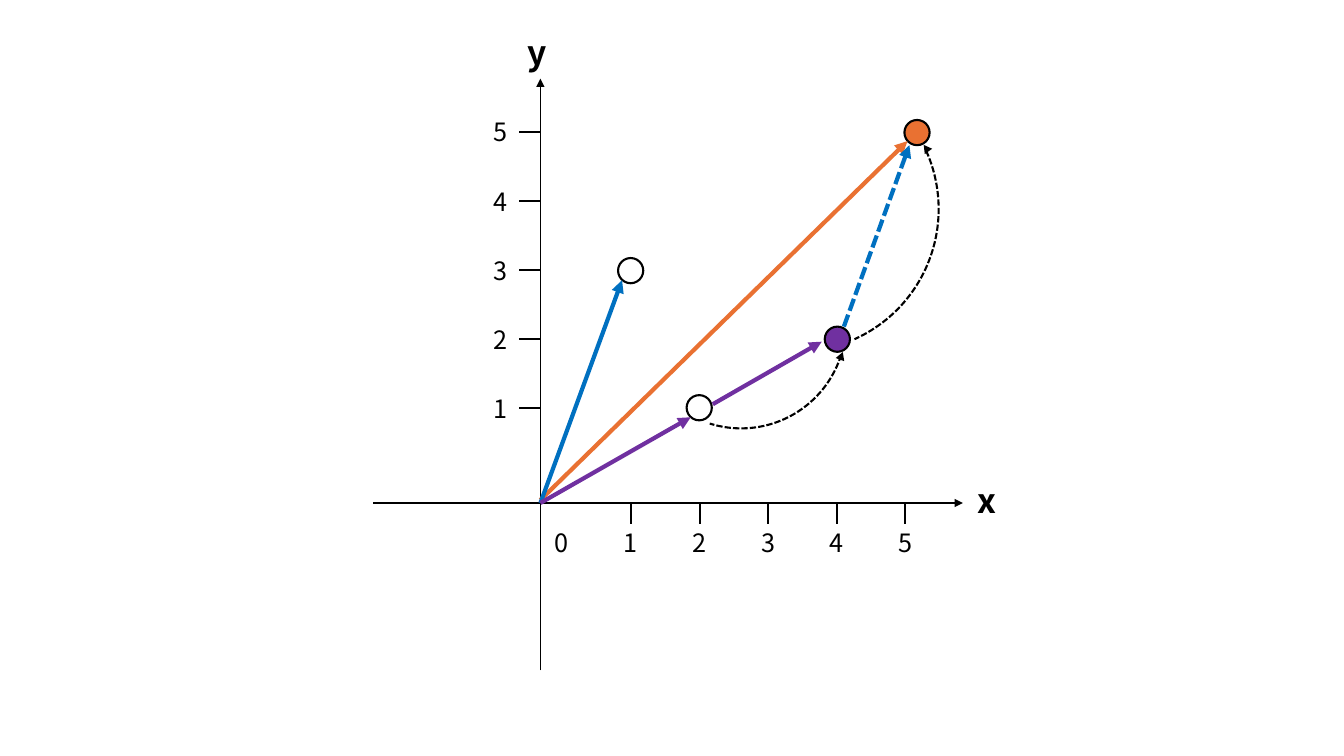
"""Builds a slide showing scaled vectors and their sum on x-y axes."""
from pptx import Presentation
from pptx.dml.color import RGBColor
from pptx.enum.dml import MSO_LINE
from pptx.enum.shapes import MSO_CONNECTOR, MSO_SHAPE
from pptx.enum.text import MSO_AUTO_SIZE
from pptx.oxml.ns import qn
from pptx.util import Inches, Pt
from lxml import etree

STRAIGHT = MSO_CONNECTOR.STRAIGHT
ELLIPSE, ARC, TRIANGLE = MSO_SHAPE.OVAL, MSO_SHAPE.ARC, MSO_SHAPE.ISOSCELES_TRIANGLE
DASH = MSO_LINE.SQUARE_DOT
FIT_SHAPE = MSO_AUTO_SIZE.SHAPE_TO_FIT_TEXT

FONT = "Noto Sans CJK KR"
BLACK, WHITE = "000000", "FFFFFF"
ORANGE, PURPLE, BLUE = "E97132", "7030A0", "0070C0"

ORIGIN_X, ORIGIN_Y = 5.36, 4.99
ORIGIN = (ORIGIN_X, ORIGIN_Y)
AXES = [
    ("x", (3.7, ORIGIN_Y), (9.55, ORIGIN_Y), (9.6, 4.71)),
    ("y", (ORIGIN_X, 6.65), (ORIGIN_X, 0.78), (5.13, 0.27)),
]
TICKS = [1, 2, 3, 4, 5]
FIRST_X_TICK, X_STEP = 6.26, 0.68
FIRST_Y_TICK, LAST_Y_TICK = 4.05, 1.31
Y_STEP = (FIRST_Y_TICK - LAST_Y_TICK) / (len(TICKS) - 1)
TICK_LENGTH = 0.21
X_NUMBERS_TOP, Y_NUMBERS_LEFT = 5.18, 4.8
ZERO_LEFT = 5.4

SUM_VECTOR = ((ORIGIN_X, 4.96), (9, 1.4), ORANGE)
VECTORS = [
    (ORIGIN, (6.17, 2.78), BLUE, None),
    (ORIGIN, (6.85, 4.14), PURPLE, None),
    ((8.37, 3.24), (9.02, 1.44), BLUE, DASH),
]
SCALED_VECTOR = ((7.07, 4.01), (8.15, 3.39), PURPLE)
POINT_SIZE = 0.25
SUM_POINT = (8.97, 1.19, ORANGE)
POINTS = [(6.13, 2.56, WHITE), (6.81, 3.92, WHITE), (8.18, 3.24, PURPLE)]
ARCS = [(6.31, 2.17, 2.08, 107.4), (6.48, 0.66, 2.83, 65.8)]
ARC_TIPS = [(8.3, 3.49, 20.7), (9.14, 1.43, 324)]

prs = Presentation()
prs.slide_width, prs.slide_height = Inches(13.33), Inches(7.5)
slide = prs.slides.add_slide(prs.slide_layouts[6])
shapes = slide.shapes


def color(hex_code):
    return RGBColor.from_string(hex_code)


def add_line(start, end, hex_code=BLACK, width=1.5, arrow=True, dash=None):
    ends = [Inches(v) for v in (*start, *end)]
    connector = shapes.add_connector(STRAIGHT, *ends)
    connector.line.color.rgb = color(hex_code)
    connector.line.width = Pt(width)
    if dash:
        connector.line.dash_style = dash
    properties = connector._element.spPr
    if arrow:
        etree.SubElement(properties.find(qn("a:ln")), qn("a:tailEnd"), type="triangle")
    etree.SubElement(properties, qn("a:effectLst"))


def add_label(text, left, top, width=0.35, height=0.4, size=18, bold=False):
    box = shapes.add_textbox(*[Inches(v) for v in (left, top, width, height)])
    frame = box.text_frame
    frame.word_wrap = False
    frame.auto_size = FIT_SHAPE
    run = frame.paragraphs[0].add_run()
    run.text = text
    run.font.name = FONT
    run.font.size = Pt(size)
    run.font.bold = bold
    run.font.color.rgb = color(BLACK)


def add_figure(kind, left, top, width, height, fill=None, outlined=True, rotation=0):
    figure = shapes.add_shape(kind, *[Inches(v) for v in (left, top, width, height)])
    figure.shadow.inherit = False
    figure.rotation = rotation
    if fill:
        figure.fill.solid()
        figure.fill.fore_color.rgb = color(fill)
    else:
        figure.fill.background()
    if outlined:
        figure.line.color.rgb = color(BLACK)
        figure.line.width = Pt(1.5)
    else:
        figure.line.fill.background()
    return figure


def add_point(left, top, fill):
    add_figure(ELLIPSE, left, top, POINT_SIZE, POINT_SIZE, fill)


for name, start, end, (left, top) in AXES:
    add_line(start, end, width=1)
    add_label(name, left, top, 0.38, 0.5, 24, True)

add_point(*SUM_POINT)
add_line(*SUM_VECTOR, width=3)

add_label("0", ZERO_LEFT, X_NUMBERS_TOP)
for i, number in enumerate(TICKS):
    x = FIRST_X_TICK + i * X_STEP
    y = FIRST_Y_TICK - i * Y_STEP
    add_label(str(number), x - 0.17, X_NUMBERS_TOP)
    add_label(str(number), Y_NUMBERS_LEFT, y - 0.2)
    add_line((x, ORIGIN_Y), (x, ORIGIN_Y + TICK_LENGTH), arrow=False)
    add_line((ORIGIN_X - TICK_LENGTH, y), (ORIGIN_X, y), arrow=False)

for point in POINTS:
    add_point(*point)
for start, end, hue, dash in VECTORS:
    add_line(start, end, hue, 3, dash=dash)
for left, top, size, rotation in ARCS:
    arc = add_figure(ARC, left, top, size, size, rotation=rotation)
    arc.line.dash_style = DASH
for left, top, rotation in ARC_TIPS:
    add_figure(TRIANGLE, left, top, 0.09, 0.08, BLACK, False, rotation)
add_line(*SCALED_VECTOR, width=3)

prs.save("out.pptx")
